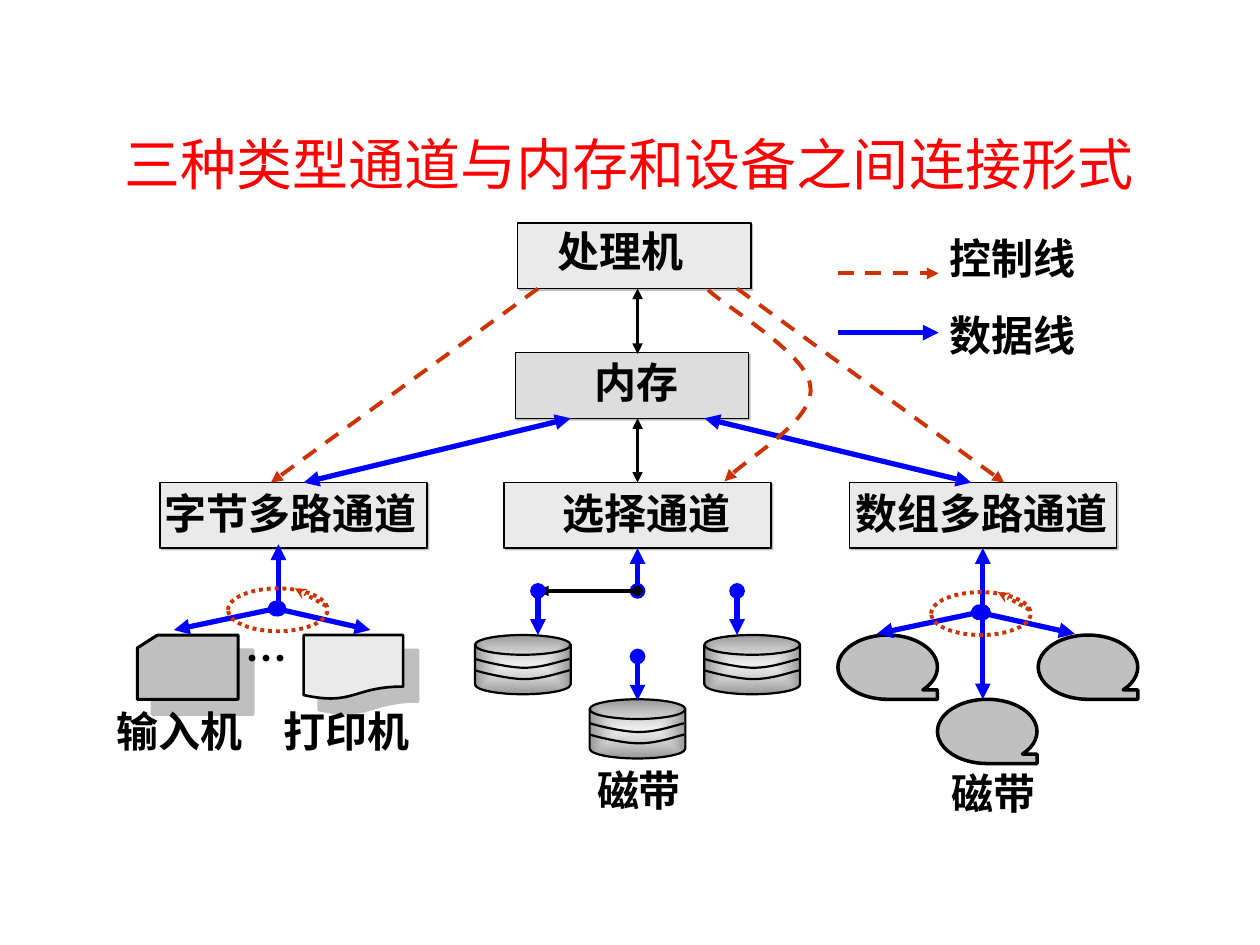
import dataclasses
import typing

import lxml.etree
import pptx
import pptx.dml.color
import pptx.enum.dml
import pptx.enum.shapes
import pptx.enum.text
import pptx.oxml.ns
import pptx.util

Inches = pptx.util.Inches
Pt = pptx.util.Pt
qn = pptx.oxml.ns.qn
SHAPE = pptx.enum.shapes.MSO_SHAPE
ALIGN = pptx.enum.text.PP_ALIGN
DASH = pptx.enum.dml.MSO_LINE
Point = tuple[float, float]

BLACK, BLUE, RUST = "000000", "0000FF", "CC3300"
LIGHT, MEMORY, GRAY = "EAEAEA", "DDDDDD", "C0C0C0"


@dataclasses.dataclass(frozen=True)
class Stroke:
    color: str
    width: float
    dash: typing.Any = None
    head: str = ""
    tail: str = ""


@dataclasses.dataclass(frozen=True)
class Node:
    left: float
    top: float
    width: float
    height: float
    fill: str
    stroke: Stroke
    kind: typing.Any = SHAPE.RECTANGLE
    shadow: float = 0


@dataclasses.dataclass(frozen=True)
class Label:
    left: float
    top: float
    width: float
    height: float
    lines: tuple[str, ...]
    align: typing.Any = ALIGN.JUSTIFY
    font: str = "Times New Roman"


OUTLINE = Stroke(BLACK, 1.25)
FRAME = Stroke(BLACK, 0.75)
TAPE_EDGE = Stroke(BLACK, 2)
ORBIT = Stroke(RUST, 2.25, DASH.ROUND_DOT)
SPIN = Stroke(RUST, 2.25, DASH.ROUND_DOT, tail="stealth")
CONTROL = Stroke(RUST, 2.25, DASH.DASH, tail="triangle")
DATA = Stroke(BLUE, 3, tail="triangle")
DATA_BOTH = Stroke(BLUE, 3, head="triangle", tail="triangle")
DEVICE_DATA = Stroke(BLUE, 3, head="oval", tail="triangle")
BUS = Stroke(BLACK, 2, head="triangle", tail="triangle")
DEVICE_BUS = Stroke(BLACK, 2, head="oval", tail="triangle")


def rgb(value: str) -> pptx.dml.color.RGBColor:
    return pptx.dml.color.RGBColor.from_string(value)


def child(parent, tag: str, **attributes):
    return lxml.etree.SubElement(parent, qn(tag), attributes)


def apply_format(target, values: dict) -> None:
    for attribute, value in values.items():
        setattr(target, attribute, value)


def apply_stroke(item, stroke: Stroke) -> None:
    item.line.color.rgb = rgb(stroke.color)
    item.line.width = Pt(stroke.width)
    if stroke.dash is not None:
        item.line.dash_style = stroke.dash
    outline = item.element.spPr.find(qn("a:ln"))
    for tag, arrow in (("a:headEnd", stroke.head), ("a:tailEnd", stroke.tail)):
        if arrow:
            child(outline, tag, type=arrow)


def draw_node(slide, node: Node):
    box = [Inches(n) for n in (node.left, node.top, node.width, node.height)]
    shape = slide.shapes.add_shape(node.kind, *box)
    if node.fill:
        shape.fill.solid()
        shape.fill.fore_color.rgb = rgb(node.fill)
    else:
        shape.fill.background()
    apply_stroke(shape, node.stroke)
    shape.shadow.inherit = False
    if node.shadow:
        effects = shape.element.spPr.find(qn("a:effectLst"))
        cast = child(effects, "a:outerShdw", dist=str(Pt(node.shadow)), dir="2700000", algn="ctr", rotWithShape="0")
        child(child(cast, "a:srgbClr", val="808080"), "a:alpha", val="50000")
    return shape


def draw_link(slide, start: Point, end: Point, stroke: Stroke, target=None, side: int = 0) -> None:
    ends = [Inches(n) for n in (*start, *end)]
    link = slide.shapes.add_connector(pptx.enum.shapes.MSO_CONNECTOR.STRAIGHT, *ends)
    apply_stroke(link, stroke)
    child(link.element.spPr, "a:effectLst")
    if target is not None:
        link.end_connect(target, side)


def draw_trace(slide, points: list[Point], stroke: Stroke, curved: bool = False) -> None:
    corners = [(Inches(x), Inches(y)) for x, y in points]
    builder = slide.shapes.build_freeform(*corners[0])
    builder.add_line_segments(corners[1:], close=False)
    trace = builder.convert_to_shape()
    trace.fill.background()
    trace.shadow.inherit = False
    apply_stroke(trace, stroke)
    if curved:
        segments = list(trace.element.iter(qn("a:lnTo")))
        for first in range(0, len(segments), 3):
            curve = lxml.etree.Element(qn("a:cubicBezTo"))
            segments[first].addprevious(curve)
            for segment in segments[first:first + 3]:
                curve.append(segment[0])
                segment.getparent().remove(segment)


def draw_label(slide, label: Label) -> None:
    box = [Inches(n) for n in (label.left, label.top, label.width, label.height)]
    frame = slide.shapes.add_textbox(*box).text_frame
    frame.word_wrap = True
    for index, words in enumerate(label.lines):
        paragraph = frame.add_paragraph() if index else frame.paragraphs[0]
        paragraph.alignment = label.align
        if index:
            paragraph.space_before = Pt(15)
        run = paragraph.add_run()
        run.text = words
        apply_format(run.font, {"name": label.font, "size": Pt(24), "bold": True})
        run.font.color.rgb = rgb(BLACK)
        if label.font.startswith("Noto"):
            child(run.font._element, "a:ea", typeface=label.font)


def draw_disk(slide, left: float, top: float) -> None:
    disk = draw_node(slide, Node(left, top, 0.76, 0.47, LIGHT, OUTLINE, SHAPE.FLOWCHART_MAGNETIC_DISK))
    disk.fill.gradient()
    for stop, color, position in zip(disk.fill.gradient_stops, (LIGHT, "969696"), (0, 1)):
        stop.color.rgb = rgb(color)
        stop.position = position
    gradient = disk.element.spPr.find(qn("a:gradFill"))
    child(next(gradient.iter(qn("a:srgbClr"))), "a:alpha", val="70000")
    gradient.remove(gradient.find(qn("a:lin")))
    center = child(gradient, "a:path", path="rect")
    child(center, "a:fillToRect", l="50000", t="50000", r="50000", b="50000")
    wave = [(0, 0), (0.06, 0.02), (0.27, 0.07), (0.39, 0.07), (0.53, 0.07), (0.67, 0.02), (0.75, 0)]
    for drop in (0.19, 0.28):
        draw_trace(slide, [(left + x, top + drop + y) for x, y in wave], OUTLINE, curved=True)


def draw_orbit(slide, hub: Point) -> None:
    left, top = hub[0] - 0.38, hub[1] - 0.16
    draw_node(slide, Node(left, top, 0.79, 0.34, "", ORBIT, SHAPE.OVAL))
    draw_trace(slide, [(left + 0.78, top + 0.14), (left + 0.53, top)], SPIN)


def draw_title(slide, words: str) -> None:
    title = slide.shapes.title
    apply_format(title, {"left": Inches(0.33), "top": Inches(0.33), "width": Inches(9.33), "height": Inches(6.83)})
    frame = title.text_frame
    frame.text = words
    apply_format(frame, {"margin_top": Inches(0.7), "word_wrap": True,
                         "vertical_anchor": pptx.enum.text.MSO_ANCHOR.TOP,
                         "auto_size": pptx.enum.text.MSO_AUTO_SIZE.NONE})
    frame.paragraphs[0].alignment = ALIGN.CENTER
    font = frame.paragraphs[0].runs[0].font
    apply_format(font, {"name": "Calibri", "size": Pt(32), "bold": False})
    font.color.rgb = rgb("FF0000")


def main() -> None:
    deck = pptx.Presentation()
    apply_format(deck, {"slide_width": Inches(10), "slide_height": Inches(7.5)})
    slide = deck.slides.add_slide(deck.slide_layouts[5])
    draw_title(slide, "三种类型通道与内存和设备之间连接形式")

    for left, top in ((3.77, 5.04), (5.59, 5.04), (4.68, 5.55)):
        draw_disk(slide, left, top)
    for left, top in ((6.65, 5.04), (8.24, 5.04), (7.44, 5.55)):
        draw_node(slide, Node(left, top, 0.79, 0.51, GRAY, TAPE_EDGE, SHAPE.FLOWCHART_SEQUENTIAL_ACCESS_STORAGE))
    draw_node(slide, Node(1.09, 5.04, 0.8, 0.51, GRAY, Stroke(BLACK, 1.75), SHAPE.FLOWCHART_CARD, 12.1))
    draw_node(slide, Node(2.41, 5.04, 0.79, 0.51, LIGHT, Stroke(BLACK, 1.5), SHAPE.FLOWCHART_DOCUMENT, 12.1))

    for left, top, fill in ((4.09, 2.8, MEMORY), (4.11, 1.77, LIGHT)):
        draw_node(slide, Node(left, top, 1.85, 0.52, fill, FRAME, shadow=1.4))
    _, selector, array = [draw_node(slide, Node(left, 3.83, 2.12, 0.52, LIGHT, FRAME, shadow=1.4))
                          for left in (1.27, 4, 6.74)]

    draw_link(slide, (5.06, 4.69), (5.06, 4.35), DEVICE_DATA, selector, 2)
    draw_link(slide, (5.06, 4.69), (4.27, 4.69), DEVICE_BUS)
    for x, y in ((4.27, 4.69), (5.06, 5.21), (5.85, 4.69)):
        draw_link(slide, (x, y), (x, y + 0.35), DEVICE_DATA)
    draw_link(slide, (7.8, 4.86), (7.8, 4.35), DEVICE_DATA, array, 2)
    draw_link(slide, (7.8, 4.86), (7.8, 5.55), DEVICE_DATA)
    draw_link(slide, (2.21, 4.83), (2.21, 4.32), DEVICE_DATA)
    for hub, reach in (((2.19, 4.83), (1.38, 2.94)), ((7.77, 4.86), (6.96, 8.53))):
        for x in reach:
            draw_link(slide, hub, (x, hub[1] + 0.17), DEVICE_DATA)
        draw_orbit(slide, hub)

    draw_link(slide, (5.06, 2.29), (5.06, 2.81), BUS)
    draw_link(slide, (5.06, 3.32), (5.06, 3.83), BUS, selector, 0)
    for side in (-1, 1):
        draw_link(slide, (5.06 + side * 0.53, 3.32), (5.06 + side * 2.65, 3.83), DATA_BOTH)
        draw_link(slide, (5.06 + side * 0.79, 2.29), (5.06 + side * 2.91, 3.83), CONTROL)
    draw_trace(slide, [(5.62, 2.3), (5.75, 2.43), (6.41, 2.81), (6.43, 3.06),
                       (6.48, 3.31), (5.89, 3.66), (5.75, 3.82)], CONTROL, curved=True)
    for y, stroke in ((2.17, CONTROL), (2.64, DATA)):
        draw_link(slide, (6.65, y), (7.45, y), stroke)

    for label in (
        Label(1.21, 3.82, 2.38, 0.51, ("字节多路通道",)),
        Label(3.94, 3.82, 2.38, 0.51, ("选择通道",), ALIGN.CENTER),
        Label(6.69, 3.82, 2.38, 0.51, ("数组多路通道",)),
        Label(4.33, 1.74, 1.59, 0.51, ("处理机",)),
        Label(4.62, 2.78, 1.32, 0.47, ("内存",)),
        Label(0.83, 5.55, 1.27, 0.55, ("输入机",)),
        Label(2.15, 5.55, 1.27, 0.55, ("打印机",)),
        Label(4.64, 6.02, 1.27, 0.54, ("磁带",)),
        Label(7.45, 6.04, 1.27, 0.54, ("磁带",)),
        Label(7.44, 1.8, 1.32, 0.86, ("控制线", "数据线")),
        Label(1.85, 4.97, 0.71, 0.5, ("…",), ALIGN.LEFT, "Noto Sans CJK SC"),
    ):
        draw_label(slide, label)
    deck.save("out.pptx")


if __name__ == "__main__":
    main()
